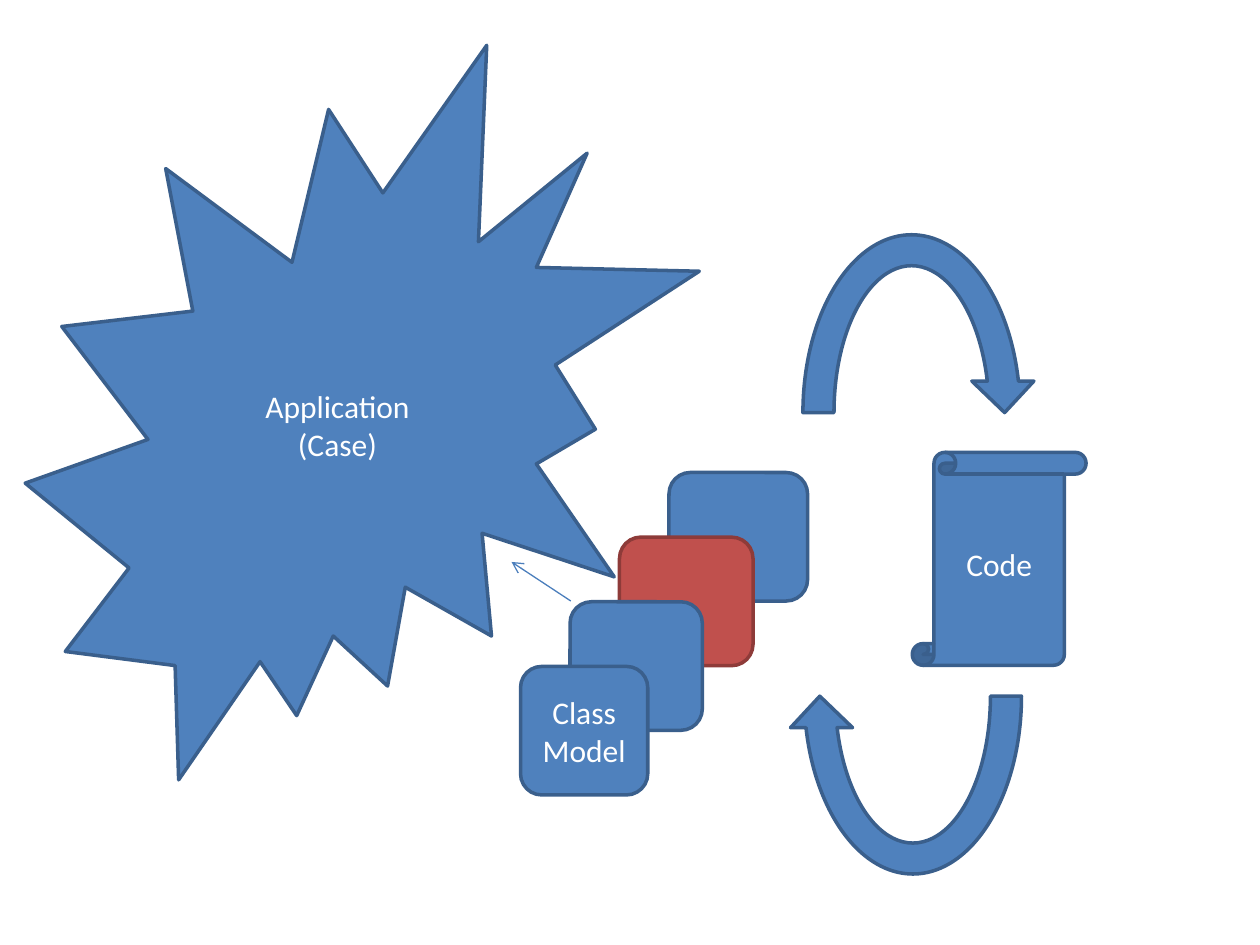
from lxml import etree
from pptx import Presentation
from pptx.dml.color import RGBColor
from pptx.enum.shapes import MSO_CONNECTOR, MSO_SHAPE
from pptx.enum.text import MSO_ANCHOR, PP_ALIGN
from pptx.oxml.ns import qn
from pptx.util import Inches, Pt

BLUE = RGBColor(0x4F, 0x81, 0xBD)
DARK_BLUE = RGBColor(0x3A, 0x5F, 0x8C)
ARROW_BLUE = RGBColor(0x4B, 0x7E, 0xBC)
RED = RGBColor(0xC0, 0x50, 0x4D)
DARK_RED = RGBColor(0x8E, 0x3B, 0x39)
WHITE = RGBColor(0xFF, 0xFF, 0xFF)

presentation = Presentation()
presentation.slide_width, presentation.slide_height = Inches(10), Inches(7.5)
slide = presentation.slides.add_slide(presentation.slide_layouts[6])

# Grid of 100 columns by 75 rows
COLUMN = presentation.slide_width / 100
ROW = presentation.slide_height / 75


def place(column, row):
    return round(column * COLUMN), round(row * ROW)


def add_block(kind, column, row, columns, rows, text="", fill=BLUE, line=DARK_BLUE):
    shape = slide.shapes.add_shape(kind, *place(column, row), *place(columns, rows))
    shape.shadow.inherit = False
    shape.fill.solid()
    shape.fill.fore_color.rgb = fill
    shape.line.color.rgb = line
    shape.line.width = Pt(2)
    if text:
        text_frame = shape.text_frame
        text_frame.text = text
        text_frame.word_wrap = True
        text_frame.vertical_anchor = MSO_ANCHOR.MIDDLE
        for paragraph in text_frame.paragraphs:
            paragraph.alignment = PP_ALIGN.CENTER
            for run in paragraph.runs:
                run.font.name = "Calibri"
                run.font.size = Pt(18)
                run.font.color.rgb = WHITE
    return shape


# Application burst
add_block(MSO_SHAPE.EXPLOSION2, 2, 3.6, 53.5, 58.3, "Application\n(Case)")

# Stack of model cards, stepping down to the left
cards = [
    (11, "", BLUE, DARK_BLUE),
    (10.6, "", RED, DARK_RED),
    (10.5, "", BLUE, DARK_BLUE),
    (10.1, "Class\vModel", BLUE, DARK_BLUE),
]
for index, (columns, text, fill, line) in enumerate(cards):
    add_block(MSO_SHAPE.FLOWCHART_ALTERNATE_PROCESS, 53.1 - 3.93 * index,
              37.5 + 5.13 * index, columns, 10.2, text, fill, line)

# Arrow from the cards to the application
arrow = slide.shapes.add_connector(
    MSO_CONNECTOR.STRAIGHT, *place(45.3, 47.7), *place(40.6, 44.6))
arrow.line.color.rgb = ARROW_BLUE
arrow.line.width = Pt(0.75)
etree.SubElement(arrow.line._get_or_add_ln(), qn("a:tailEnd"), type="arrow")
etree.SubElement(arrow._element.spPr, qn("a:effectLst"))

# Round trip between model and code
for column, row, rotation in [(62.5, 17.4, 0), (62.6, 39.9, 180)]:
    cycle = add_block(MSO_SHAPE.CIRCULAR_ARROW, column, row, 19.7, 30.7)
    cycle.rotation = rotation

# Code scroll
add_block(MSO_SHAPE.VERTICAL_SCROLL, 72.4, 35.9, 13.8, 16.9, "Code")

presentation.save("out.pptx")
